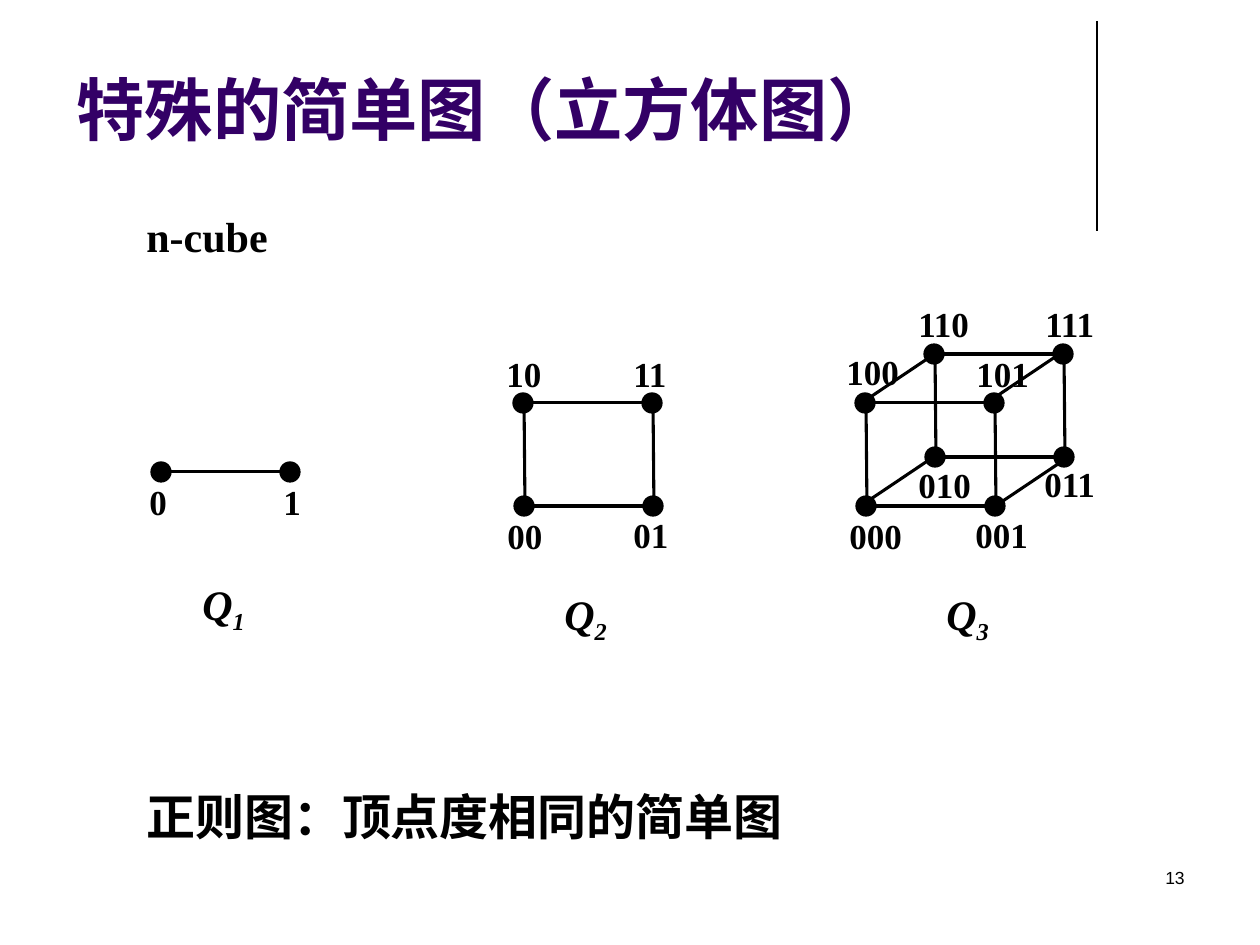
from pptx import Presentation
from pptx.dml.color import RGBColor
from pptx.enum.shapes import MSO_CONNECTOR, MSO_SHAPE
from pptx.enum.text import MSO_ANCHOR, MSO_AUTO_SIZE, PP_ALIGN
from pptx.oxml.ns import qn
from pptx.util import Emu, Pt
from lxml import etree

STRAIGHT = MSO_CONNECTOR.STRAIGHT
NODE = MSO_SHAPE.FLOWCHART_CONNECTOR
CALLOUT = MSO_SHAPE.RECTANGULAR_CALLOUT
TOP, BOTTOM = MSO_ANCHOR.TOP, MSO_ANCHOR.BOTTOM
LEFT, RIGHT, JUSTIFY = PP_ALIGN.LEFT, PP_ALIGN.RIGHT, PP_ALIGN.JUSTIFY
NO_FIT = MSO_AUTO_SIZE.NONE

PX_PER_INCH = 126
BLACK, PURPLE = "000000", "330066"
SERIF, SANS = "Times New Roman", "Arial"
RADIUS = 10
SIDE, HEIGHT, LEAN = 129, 103, 1
DEPTH_X, DEPTH_Y = 69, 49


def px(length):
    return Emu(round(length * 914400 / PX_PER_INCH))


def frame(*lengths):
    return [px(length) for length in lengths]


def color(code):
    return RGBColor.from_string(code)


def style(para, size, name=SERIF, code=BLACK, bold=True, italic=False, align=LEFT):
    para.alignment = align
    font = para.font
    font.size, font.name, font.bold, font.italic = Pt(size), name, bold, italic
    font.color.rgb = color(code)


def add_line(shapes, x1, y1, x2, y2, width=1.75):
    line = shapes.add_connector(STRAIGHT, *frame(x1, y1, x2, y2))
    line.line.color.rgb = color(BLACK)
    line.line.width = Pt(width)
    etree.SubElement(line._element.spPr, qn("a:effectLst"))


def add_node(shapes, x, y):
    node = shapes.add_shape(NODE, *frame(x - RADIUS, y - RADIUS, 2 * RADIUS, 2 * RADIUS))
    node.shadow.inherit = False
    node.fill.solid()
    node.fill.fore_color.rgb = color(BLACK)
    node.line.color.rgb = color(BLACK)
    node.line.width = Pt(0.75)


def add_callout(shapes, text, box, size=20, italic=False):
    callout = shapes.add_shape(CALLOUT, *frame(*box))
    callout.adjustments[0], callout.adjustments[1] = -0.21, 0.63
    callout.shadow.inherit = False
    callout.fill.background()
    callout.line.fill.background()
    callout.text_frame.word_wrap = False
    callout.text_frame.vertical_anchor = TOP
    para = callout.text_frame.paragraphs[0]
    style(para, size, italic=italic)
    para.add_run().text = text
    return para


def add_name(shapes, index, left, top):
    para = add_callout(shapes, "Q", (left, top, 100, 69), 24, True)
    span = para.add_run()
    span.text = index
    span._r.get_or_add_rPr().set("baseline", "-25000")


def add_labels(shapes, labels):
    for text, left, top in labels:
        add_callout(shapes, text, (left, top, 49, 39))


def add_edge(shapes, x, y):
    add_node(shapes, x, y)
    add_node(shapes, x + SIDE, y)
    add_line(shapes, x + RADIUS, y, x + SIDE - RADIUS, y)


def add_face(shapes, x, y):
    add_edge(shapes, x, y)
    add_edge(shapes, x + LEAN, y + HEIGHT)
    for column in (x, x + SIDE):
        add_line(shapes, column + 2, y + HEIGHT + 1, column + 1, y - 5)


def add_cube(shapes, x, y):
    add_face(shapes, x, y)
    add_face(shapes, x + DEPTH_X, y - DEPTH_Y)
    for start_x, start_y in ((7, -7), (SIDE, -5), (0, HEIGHT - 3), (SIDE, HEIGHT + 1)):
        left, top = x + start_x, y + start_y
        add_line(shapes, left, top, left + 67, top - 45)


def add_text(page, text, box, size, **options):
    text_box = page.shapes.add_textbox(*frame(*box))
    text_box.text_frame.word_wrap = True
    para = text_box.text_frame.paragraphs[0]
    para.text = text
    style(para, size, **options)


def set_title(page, text):
    title = page.shapes.title
    title.left, title.top, title.width, title.height = frame(64, 35, 1040, 120)
    title.text_frame.word_wrap = True
    title.text_frame.auto_size = NO_FIT
    title.text_frame.vertical_anchor = BOTTOM
    para = title.text_frame.paragraphs[0]
    para.text = text
    style(para, 39, SANS, PURPLE)


def main():
    deck = Presentation()
    deck.slide_width, deck.slide_height = frame(1260, 945)
    page = deck.slides.add_slide(deck.slide_layouts[5])
    add_line(page.shapes, 1097, 21, 1097, 231, 0.75)
    set_title(page, "特殊的简单图（立方体图）")

    segment = page.shapes.add_group_shape().shapes
    add_edge(segment, 161, 472)
    add_labels(segment, [("0", 137, 474), ("1", 271, 474)])
    add_name(segment, "1", 190, 572)

    square = page.shapes.add_group_shape().shapes
    add_face(square, 523, 403)
    add_labels(square, [("10", 494, 346), ("11", 621, 346),
                        ("00", 495, 508), ("01", 621, 507)])
    add_name(square, "2", 552, 582)

    cube = page.shapes.add_group_shape().shapes
    add_cube(cube, 865, 403)
    add_labels(cube, [("100", 834, 344), ("101", 964, 346),
                      ("000", 837, 508), ("001", 963, 507),
                      ("110", 906, 296), ("111", 1033, 296),
                      ("010", 906, 457), ("011", 1032, 456)])
    add_name(cube, "3", 934, 582)

    add_text(page, "n-cube", (134, 204, 169, 63), 24, align=JUSTIFY)
    add_text(page, "正则图：顶点度相同的简单图", (134, 780, 804, 63), 28, align=JUSTIFY)
    add_text(page, "13", (903, 861, 294, 63), 10, name=SANS, bold=False, align=RIGHT)
    deck.save("out.pptx")


if __name__ == "__main__":
    main()
